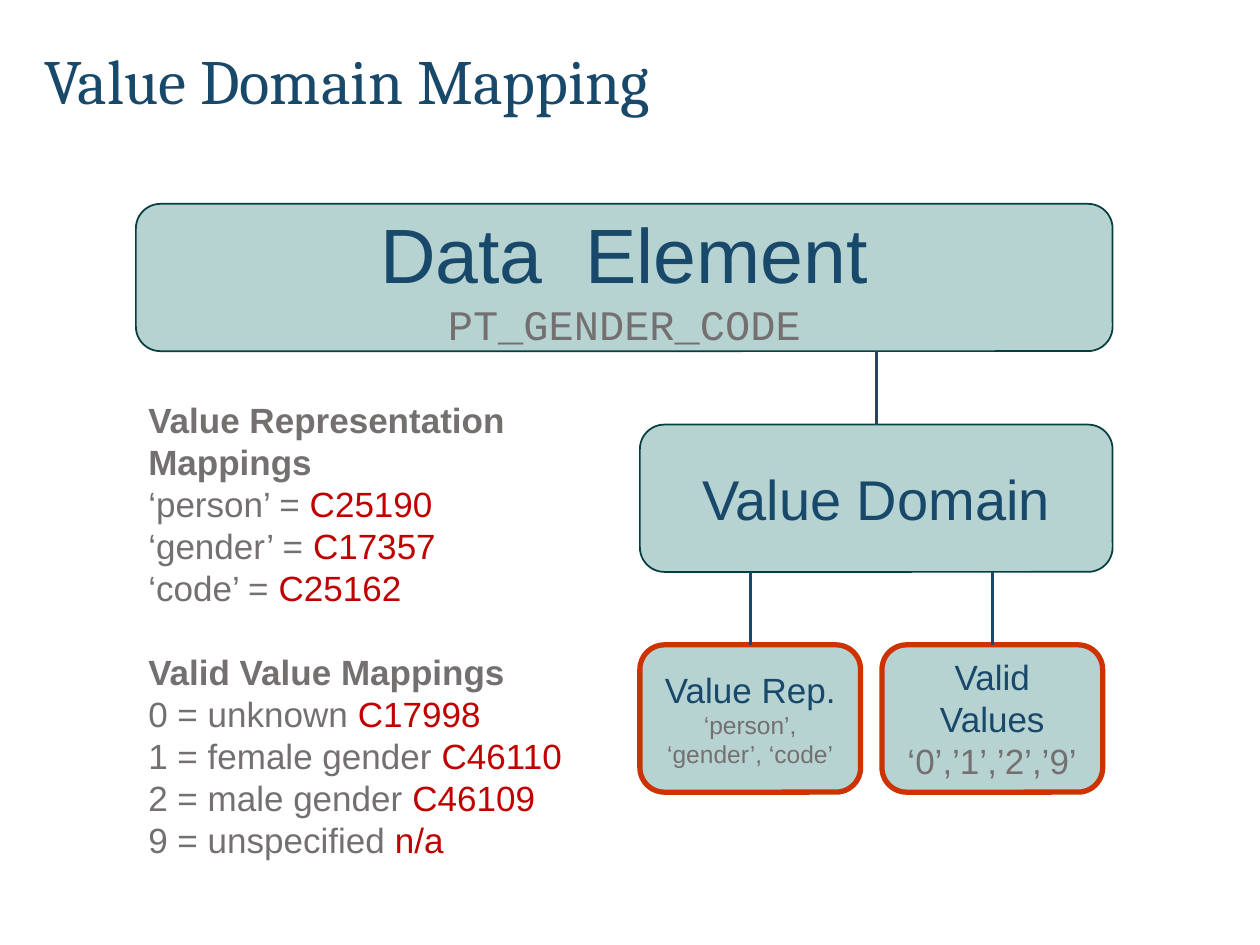
from pptx import Presentation
from pptx.dml.color import RGBColor
from pptx.enum.shapes import MSO_CONNECTOR, MSO_SHAPE
from pptx.enum.text import MSO_ANCHOR, PP_ALIGN
from pptx.oxml.ns import qn
from pptx.util import Cm, Pt

ROUNDED = MSO_SHAPE.ROUNDED_RECTANGLE
STRAIGHT = MSO_CONNECTOR.STRAIGHT
MIDDLE, TOP = MSO_ANCHOR.MIDDLE, MSO_ANCHOR.TOP
CENTER, LEFT = PP_ALIGN.CENTER, PP_ALIGN.LEFT

COLORS = {
    "box": "B6D2D1",
    "edge": "073E40",
    "accent": "CC3300",
    "navy": "18496B",
    "gray": "757070",
    "code": "C00000",
}


def rgb(name):
    return RGBColor.from_string(COLORS[name])


class Deck:
    """Holds the text style and the current slide."""

    def __init__(self, prs):
        self.s = prs.slides.add_slide(prs.slide_layouts[6])
        self.base = {"name": "Arial", "size": 20, "bold": False, "color": "gray"}

    def fill_text(self, sp, paragraphs, align, anchor):
        """Each paragraph is (runs, paragraph format); each run is (text, font format)."""
        tf = sp.text_frame
        tf.word_wrap = True
        tf.vertical_anchor = anchor
        for i, (runs, para_format) in enumerate(paragraphs):
            p = tf.add_paragraph() if i else tf.paragraphs[0]
            for key, value in {"alignment": align, **para_format}.items():
                setattr(p, key, value)
            for text, changes in runs:
                r = p.add_run()
                r.text = text
                style = {**self.base, **changes}
                r.font.color.rgb = rgb(style.pop("color"))
                style["size"] = Pt(style["size"])
                for key, value in style.items():
                    setattr(r.font, key, value)

    def text(self, at, paragraphs, anchor=TOP):
        sp = self.s.shapes.add_textbox(*map(Cm, at))
        self.fill_text(sp, paragraphs, LEFT, anchor)

    def box(self, at, lines, edge="edge", width=1):
        sp = self.s.shapes.add_shape(ROUNDED, *map(Cm, at))
        sp.shadow.inherit = False
        sp.fill.solid()
        sp.fill.fore_color.rgb = rgb("box")
        sp.line.color.rgb = rgb(edge)
        sp.line.width = Pt(width)
        self.fill_text(sp, [([line], {}) for line in lines], CENTER, MIDDLE)
        return sp

    def link(self, parent, child):
        """Drop a vertical line from the parent's bottom edge to the child's top middle."""
        x = child.left + child.width // 2
        c = self.s.shapes.add_connector(STRAIGHT, x, parent.top + parent.height, x, child.top)
        c.end_connect(child, 0)
        c.line.color.rgb = rgb("navy")
        c.line.width = Pt(1.5)
        sp_pr = c._element.spPr
        sp_pr.append(sp_pr.makeelement(qn("a:effectLst"), {}))


def main():
    prs = Presentation()
    prs.slide_width, prs.slide_height = Cm(25.4), Cm(19.05)
    deck = Deck(prs)

    # Title
    title = ("Value Domain Mapping", {"name": "Cambria", "size": 36, "color": "navy"})
    deck.text((0.64, 0.43, 24.16, 2.54), [([title], {"line_spacing": 0.9})], MIDDLE)

    # Hierarchy boxes
    left, domain_left, height = 2.74, 12.9, 2.97
    element = deck.box((left, 4.11, 19.69, height), [
        ("Data  Element", {"size": 44, "color": "navy"}),
        ("PT_GENDER_CODE", {"size": 24, "name": "Courier New"}),
    ])
    domain = deck.box((domain_left, 8.56, 9.53, height), [
        ("Value Domain", {"size": 32, "color": "navy"}),
    ])
    parts = [
        (domain_left, "Value Rep.", "‘person’, ‘gender’, ‘code’", 14),
        (17.78, "Valid Values", "‘0’,’1’,’2’,’9’", 20),
    ]
    children = [
        deck.box((x, 13, 4.45, height),
                 [(name, {"color": "navy"}), (values, {"size": size})],
                 edge="accent", width=3)
        for x, name, values, size in parts
    ]

    # Links between levels
    deck.link(element, domain)
    for child in children:
        deck.link(domain, child)

    # Mapping lists
    groups = [
        ("Value Representation Mappings", 0, [
            ("‘person’ = ", "C25190"),
            ("‘gender’ = ", "C17357"),
            ("‘code’ = ", "C25162"),
        ]),
        ("Valid Value Mappings", 24, [
            ("0 = unknown ", "C17998"),
            ("1 = female gender ", "C46110"),
            ("2 = male gender ", "C46109"),
            ("9 = unspecified ", "n/a"),
        ]),
    ]
    paragraphs = []
    for heading, gap, rows in groups:
        paragraphs.append(([(heading, {"bold": True})], {"space_before": Pt(gap)}))
        for label, code in rows:
            paragraphs.append(([(label, {}), (code, {"color": "code"})], {}))
    deck.text((left, 7.9, 10.26, 9.65), paragraphs)

    prs.save("out.pptx")


if __name__ == "__main__":
    main()
